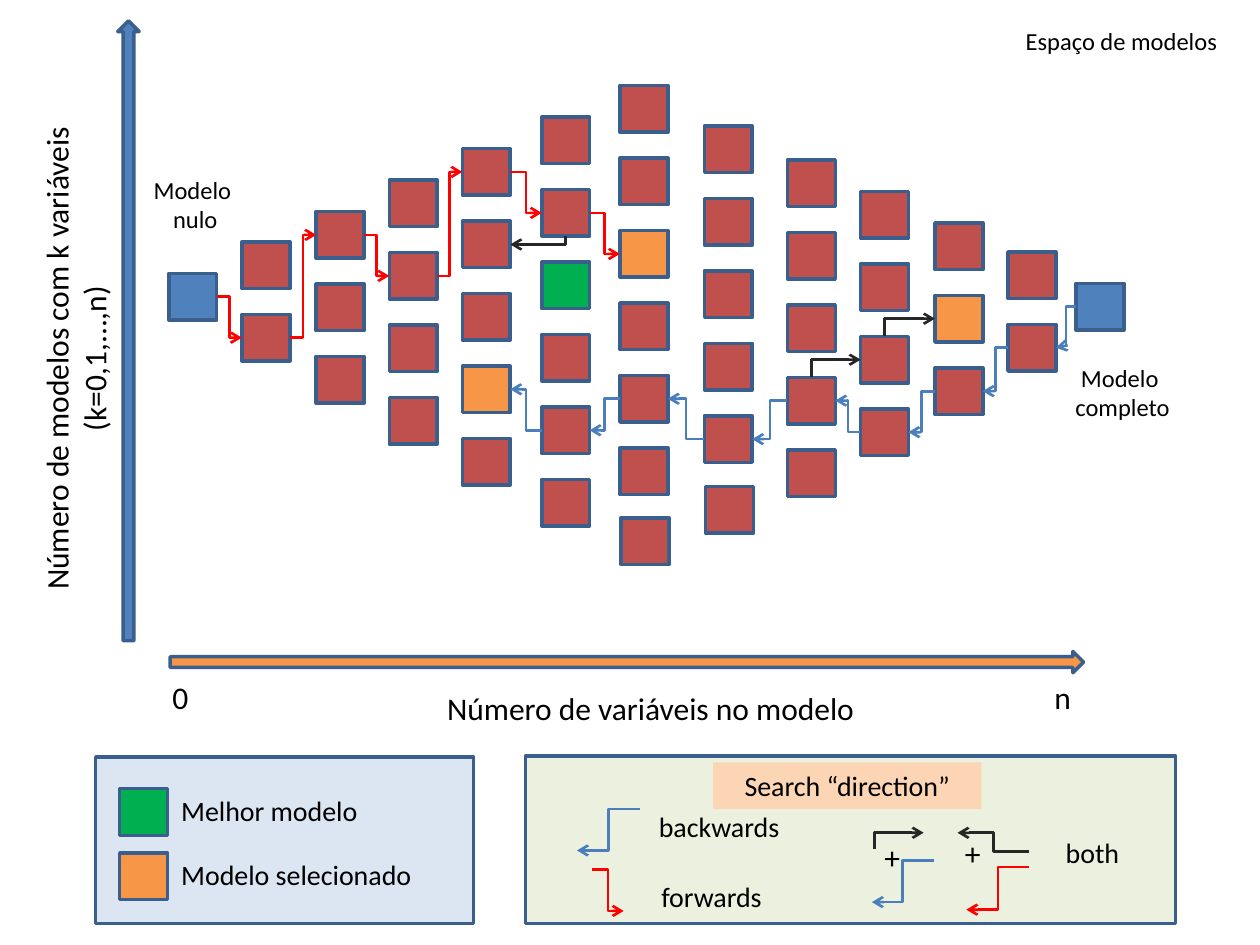
"""Build a slide showing stepwise search through a space of models."""
from typing import NamedTuple

from lxml import etree
from pptx import Presentation
from pptx import util as u
from pptx.dml.color import RGBColor
from pptx.enum import shapes, text
from pptx.oxml.ns import qn

COLUMNS, ROWS = 1000, 750
UNIT = u.Inches(0.01)
SIDE_W, SIDE_H, ROW_STEP = 38, 37, 57.5
BLUE, RED, ORANGE, GREEN = "4F81BD", "C0504D", "F79646", "00B050"
BORDER, BLACK = "3A5F8C", "000000"
BACKWARD, FORWARD, BOTH = "4B7EBC", "FF0000", "262626"


class Box(NamedTuple):
    left: float
    top: float
    width: float
    height: float


class Column(NamedTuple):
    left: float
    top: float
    count: int
    color: str = RED


class Label(NamedTuple):
    box: Box
    lines: tuple
    size: int
    centred: bool = False
    rotation: int = 0


class Block(NamedTuple):
    box: Box
    fill: str
    kind: shapes.MSO_SHAPE = shapes.MSO_SHAPE.RECTANGLE
    rotation: int = 0


class Elbow(NamedTuple):
    start: tuple
    end: tuple
    color: str
    upright: bool = False


MODEL_COLUMNS = [
    Column(134, 217, 1, BLUE), Column(192, 192, 2), Column(251, 168, 3),
    Column(309, 143, 4), Column(367, 118, 5), Column(430, 93, 6),
    Column(492, 68, 6), Column(559, 100, 5), Column(625, 127, 5),
    Column(683, 152, 4), Column(742, 177, 3), Column(800, 200, 2),
    Column(854, 225, 1, BLUE), Column(493, 411, 1), Column(560, 386, 1),
]
HIGHLIGHTS = {(4, 3): ORANGE, (5, 2): GREEN, (6, 2): ORANGE, (10, 1): ORANGE}
FORWARD_PATH = [(0, 0), (1, 1), (2, 0), (3, 1), (4, 0), (5, 1), (6, 2)]
BACKWARD_PATH = [(12, 0), (11, 1), (10, 2), (9, 3), (8, 3), (7, 4), (6, 4), (5, 4), (4, 3)]
BOTH_STEPS = [((8, 3), (9, 2)), ((9, 2), (10, 1)), ((5, 1), (4, 1))]

BLOCKS = [
    Block(Box(417, 600, 516, 133), "EBF1DE"),
    Block(Box(76, 601, 300, 132), "DCE6F2"),
    Block(Box(95, 626, SIDE_W, SIDE_H), GREEN),
    Block(Box(95, 677, SIDE_W, SIDE_H), ORANGE),
    Block(Box(135, 517, 725, 17), ORANGE, shapes.MSO_SHAPE.RIGHT_ARROW),
    Block(Box(-144, 254, 492, 17), BLUE, shapes.MSO_SHAPE.RIGHT_ARROW, 270),
]
LEGEND_ELBOWS = [
    Elbow((508, 642), (458, 675), BACKWARD),
    Elbow((470, 690), (495, 723), FORWARD),
    Elbow((694, 674), (733, 661), BOTH, upright=True),
    Elbow((741, 683), (692, 716), BACKWARD),
    Elbow((817, 676), (760, 661), BOTH),
    Elbow((817, 688), (767, 722), FORWARD),
]
LABELS = [
    Label(Box(110, 134, 90, 57), ("Modelo ", "nulo"), 14, True),
    Label(Box(833, 283, 116, 57), ("Modelo ", "completo"), 14, True),
    Label(Box(134, 625, 237, 37), ("Melhor modelo",), 16),
    Label(Box(134, 676, 237, 37), ("Modelo selecionado",), 16),
    Label(Box(345, 542, 350, 40), ("Número de variáveis no modelo",), 18),
    Label(Box(-138, 249, 396, 71), ("Número de modelos com k variáveis (k=0,1,...,n)",), 18, True, 270),
    Label(Box(513, 638, 135, 37), ("backwards",), 16),
    Label(Box(515, 693, 135, 37), ("forwards",), 16),
    Label(Box(836, 658, 74, 37), ("both",), 16),
    Label(Box(692, 660, 53, 40), ("+",), 18),
    Label(Box(756, 657, 53, 40), ("+",), 18),
]
TITLE = Label(Box(804, 16, 190, 34), ("Espaço de modelos",), 14)
SCALE = Label(Box(127, 533, 757, 40), ("0\tn",), 18)
LEGEND_TITLE = Label(Box(566, 605, 213, 37), ("Search “direction”",), 16, True)


def rgb(color: str) -> RGBColor:
    return RGBColor.from_string(color)


def lengths(values) -> list[int]:
    return [round(value * UNIT) for value in values]


def write(shape, label: Label) -> None:
    frame = shape.text_frame
    frame.word_wrap = True
    frame.vertical_anchor = text.MSO_ANCHOR.TOP
    frame.text = "\n".join(label.lines)
    shape.rotation = label.rotation
    for paragraph in frame.paragraphs:
        paragraph.alignment = text.PP_ALIGN.CENTER if label.centred else text.PP_ALIGN.LEFT
        if "\t" in paragraph.text:
            tabs = etree.SubElement(paragraph._p.get_or_add_pPr(), qn("a:tabLst"))
            etree.SubElement(tabs, qn("a:tab"), pos=str(u.Inches(7)), algn="l")
        paragraph.font.name = "Calibri"
        paragraph.font.size = u.Pt(label.size)
        paragraph.font.color.rgb = rgb(BLACK)


def add_label(slide, label: Label):
    shape = slide.shapes.add_textbox(*lengths(label.box))
    write(shape, label)
    return shape


def add_block(slide, block: Block) -> None:
    shape = slide.shapes.add_shape(block.kind, *lengths(block.box))
    shape.shadow.inherit = False
    shape.rotation = block.rotation
    shape.fill.solid()
    shape.fill.fore_color.rgb = rgb(block.fill)
    shape.line.color.rgb = rgb(BORDER)
    shape.line.width = u.Pt(2)


def add_elbow(slide, elbow: Elbow) -> None:
    (x1, y1), (x2, y2) = elbow.start, elbow.end
    if elbow.upright:
        middle_x, middle_y, dx, dy = (x1 + x2) / 2, (y1 + y2) / 2, x2 - x1, y2 - y1
        x1, y1 = middle_x - dy / 2, middle_y + dx / 2
        x2, y2 = middle_x + dy / 2, middle_y - dx / 2
    connector = slide.shapes.add_connector(shapes.MSO_CONNECTOR.ELBOW, *lengths((x1, y1, x2, y2)))
    properties = connector._element.spPr
    if elbow.upright:
        properties.find(qn("a:xfrm")).set("rot", str(90 * 60000))
        properties.find(qn("a:prstGeom")).set("prst", "bentConnector2")
    connector.line.color.rgb = rgb(elbow.color)
    connector.line.width = u.Pt(1.5)
    etree.SubElement(properties.find(qn("a:ln")), qn("a:tailEnd"), type="arrow")
    etree.SubElement(properties, qn("a:effectLst"))


def model_box(column: int, row: int) -> Box:
    place = MODEL_COLUMNS[column]
    return Box(place.left, place.top + row * ROW_STEP, SIDE_W, SIDE_H)


def step(start: tuple, end: tuple, color: str, upright: bool = False) -> Elbow:
    source, target = model_box(*start), model_box(*end)
    rightward = target.left > source.left
    source_x = source.left + SIDE_W * (0.5 if upright else rightward)
    source_y = source.top + SIDE_H / 2
    target_x = target.left + SIDE_W * (not rightward)
    target_y = target.top + SIDE_H / 2
    if upright:
        source_y = source.top + SIDE_H * (target_y > source_y)
    return Elbow((source_x, source_y), (target_x, target_y), color, upright)


def main() -> None:
    presentation = Presentation()
    presentation.slide_width, presentation.slide_height = lengths((COLUMNS, ROWS))
    slide = presentation.slides.add_slide(presentation.slide_layouts[5])
    title = slide.shapes.title
    title.left, title.top, title.width, title.height = lengths(TITLE.box)
    write(title, TITLE)

    for block in BLOCKS:
        add_block(slide, block)
    for index, column in enumerate(MODEL_COLUMNS):
        for row in range(column.count):
            add_block(slide, Block(model_box(index, row), HIGHLIGHTS.get((index, row), column.color)))

    for path, color in ((FORWARD_PATH, FORWARD), (BACKWARD_PATH, BACKWARD)):
        for start, end in zip(path, path[1:]):
            add_elbow(slide, step(start, end, color))
    for start, end in BOTH_STEPS:
        add_elbow(slide, step(start, end, BOTH, upright=True))
    for elbow in LEGEND_ELBOWS:
        add_elbow(slide, elbow)

    for label in [*LABELS, SCALE]:
        add_label(slide, label)
    legend_title = add_label(slide, LEGEND_TITLE)
    legend_title.fill.solid()
    legend_title.fill.fore_color.rgb = rgb("FCD5B5")
    presentation.save("out.pptx")


if __name__ == "__main__":
    main()
